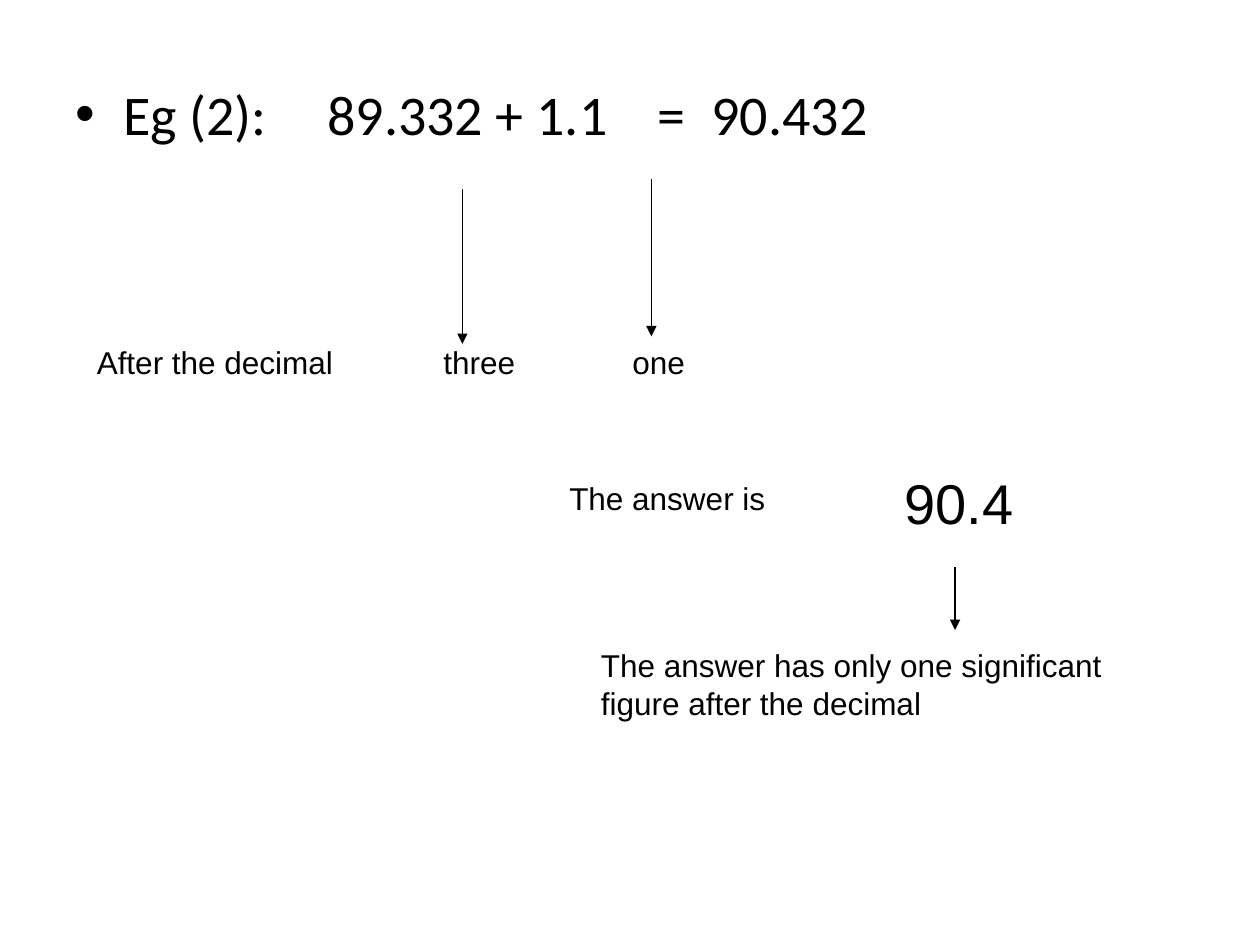
"""Build the slide on significant figures in an addition."""
from lxml.etree import SubElement
from pptx import Presentation
from pptx.dml.color import RGBColor
from pptx.enum.shapes import MSO_CONNECTOR
from pptx.oxml.ns import qn
from pptx.util import Inches, Pt

BLACK = "000000"
EQUATION = "Eg (2):\t89.332 + 1.1\t=\t90.432"
EQUATION_TABS = [2.0, 4.62, 5.05]
INDENT = 0.38
LABELS = [
    ("After the decimal", (0.67, 2.67, 2.33, 0.4), 18),
    ("three", (3.42, 2.67, 0.92, 0.4), 18),
    ("one", (4.92, 2.67, 0.92, 0.4), 18),
    ("The answer has only one significant figure after the decimal",
     (4.67, 5.08, 4.42, 0.7), 18),
    ("90.4", (7.08, 3.67, 2.17, 0.63), 32),
    ("The answer is", (4.42, 3.75, 2.33, 0.4), 18),
]
ARROWS = [(3.67, 1.5, 2.73), (5.17, 1.42, 2.67), (7.58, 4.5, 5)]


def color(value):
    return RGBColor.from_string(value)


def add_text(s, text, box, size=18, font="Arial", bullet=None, tabs=()):
    tf = s.shapes.add_textbox(*map(Inches, box)).text_frame
    tf.word_wrap = True
    p = tf.paragraphs[0]
    pPr = p._p.get_or_add_pPr()
    if bullet:
        pPr.set("marL", str(Inches(INDENT)))
        pPr.set("indent", str(-Inches(INDENT)))
        SubElement(pPr, qn("a:buFont"), typeface="Arial")
        SubElement(pPr, qn("a:buChar"), char=bullet)
    if tabs:
        tab_list = SubElement(pPr, qn("a:tabLst"))
        for pos in tabs:
            SubElement(tab_list, qn("a:tab"), pos=str(Inches(pos)), algn="l")
    r = p.add_run()
    r.text = text
    r.font.size = Pt(size)
    r.font.name = font
    r.font.color.rgb = color(BLACK)


def add_arrow(s, x, top, bottom):
    sp = s.shapes.add_connector(
        MSO_CONNECTOR.STRAIGHT, *map(Inches, (x, top, x, bottom)))
    sp.line.color.rgb = color(BLACK)
    sp.line.width = Pt(0.75)
    SubElement(sp.line._get_or_add_ln(), qn("a:tailEnd"), type="triangle")
    SubElement(sp._element.spPr, qn("a:effectLst"))


def main():
    prs = Presentation()
    prs.slide_width, prs.slide_height = Inches(10), Inches(7.5)
    s = prs.slides.add_slide(prs.slide_layouts[6])
    add_text(s, EQUATION, (0.5, 0.58, 9, 6.12), size=32, font="Calibri",
             bullet="•", tabs=EQUATION_TABS)
    for text, box, size in LABELS:
        add_text(s, text, box, size=size)
    for arrow in ARROWS:
        add_arrow(s, *arrow)
    prs.save("out.pptx")


if __name__ == "__main__":
    main()
